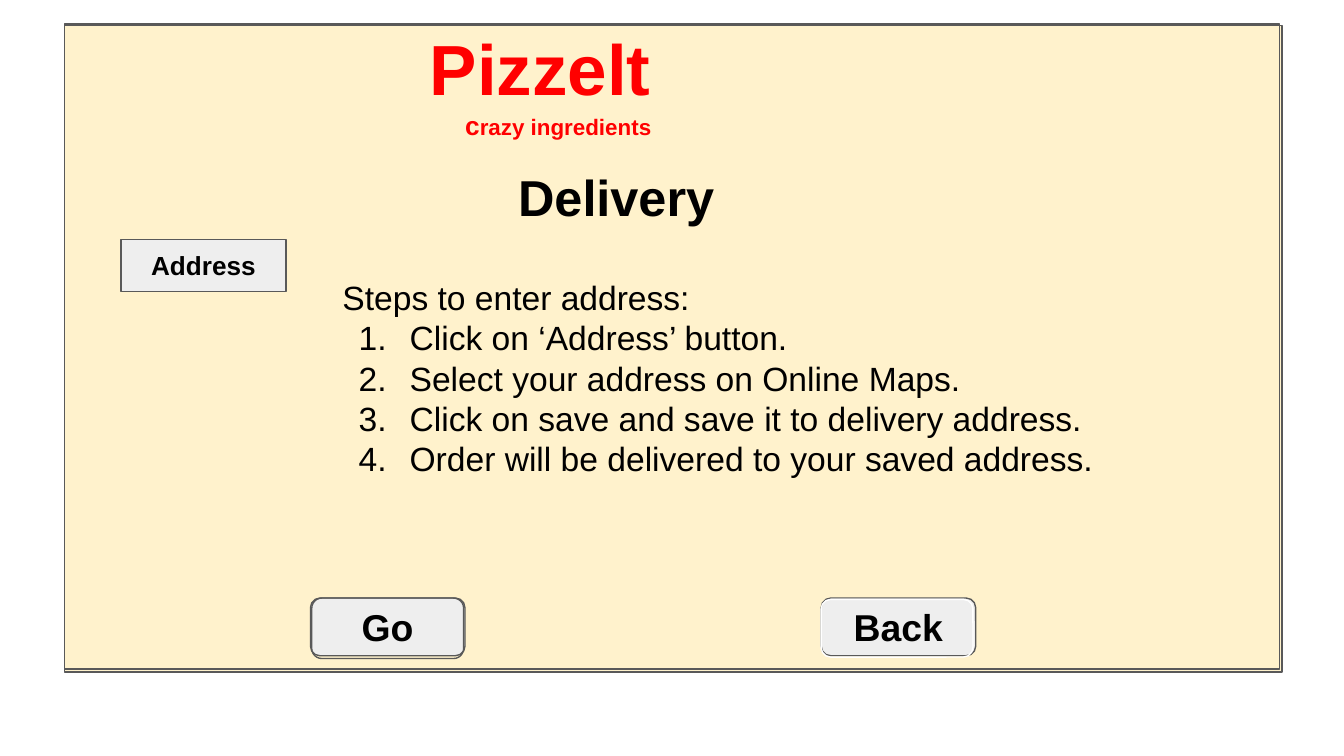
from dataclasses import dataclass

from lxml.etree import SubElement
from pptx import Presentation
from pptx.dml.color import RGBColor
from pptx.enum.shapes import MSO_SHAPE
from pptx.enum.text import MSO_ANCHOR, PP_ALIGN
from pptx.oxml.ns import qn
from pptx.util import Inches, Pt


@dataclass(frozen=True)
class Theme:
    font: str = "Arial"
    cream: str = "FFF2CC"
    button: str = "EEEEEE"
    edge: str = "595959"
    white: str = "FFFFFF"
    red: str = "FF0000"
    black: str = "000000"
    brand: int = 38
    heading: int = 27
    nav: int = 20
    body: int = 18
    label: int = 14
    tagline: int = 12


class SlideBuilder:
    def __init__(self, slide, theme):
        self.s, self.t = slide, theme

    def box(self, at, fill=None, line=None, rounded=False):
        kind = MSO_SHAPE.ROUNDED_RECTANGLE if rounded else MSO_SHAPE.RECTANGLE
        sp = self.s.shapes.add_shape(kind, *map(Inches, at))
        sp.shadow.inherit = False
        if fill:
            sp.fill.solid()
            sp.fill.fore_color.rgb = RGBColor.from_string(fill)
        else:
            sp.fill.background()
        sp.line.color.rgb = RGBColor.from_string(line or self.t.edge)
        sp.line.width = Pt(0.75)
        return sp

    def frame(self, sp, anchor=MSO_ANCHOR.MIDDLE):
        tf = sp.text_frame
        tf.word_wrap = True
        tf.vertical_anchor = anchor
        tf.margin_left = tf.margin_right = Inches(0.1)
        tf.margin_top = tf.margin_bottom = Inches(0.1)
        return tf

    def text(self, at, anchor=MSO_ANCHOR.TOP):
        return self.frame(self.s.shapes.add_textbox(*map(Inches, at)), anchor)

    def run(self, p, text, size, color=None, bold=True):
        r = p.add_run()
        r.text = text
        r.font.name, r.font.size, r.font.bold = self.t.font, Pt(size), bold
        r.font.color.rgb = RGBColor.from_string(color or self.t.black)

    def centred(self, p, text, size, color=None):
        p.alignment = PP_ALIGN.CENTER
        self.run(p, text, size, color)

    def button(self, at, text, size, rounded=False):
        sp = self.box(at, self.t.button, rounded=rounded)
        self.centred(self.frame(sp).paragraphs[0], text, size)

    def numbered(self, p, text):
        pPr = p._p.get_or_add_pPr()
        pPr.set("marL", str(Inches(0.5)))
        pPr.set("indent", str(Inches(-0.38)))
        color = SubElement(pPr, qn("a:buClr"))
        SubElement(color, qn("a:srgbClr"), val=self.t.black)
        SubElement(pPr, qn("a:buFont"), typeface=self.t.font)
        SubElement(pPr, qn("a:buAutoNum"), type="arabicPeriod")
        self.run(p, text, self.t.body, bold=False)


def main():
    # Widescreen 16:9 page
    prs = Presentation()
    prs.slide_width = Inches(10)
    prs.slide_height = prs.slide_width * 9 // 16
    t = Theme()
    b = SlideBuilder(prs.slides.add_slide(prs.slide_layouts[6]), t)

    # Panel and brand
    b.box((0.48, 0.19, 9.06, 4.81), t.cream)
    tf = b.text((2.24, 0.08, 3.56, 1.04))
    b.centred(tf.paragraphs[0], "Pizzelt", t.brand, t.red)
    p = tf.add_paragraph()
    p._p.get_or_add_pPr().set("marL", str(Inches(0.27)))
    b.centred(p, "c", t.label, t.red)
    b.run(p, "razy ingredients", t.tagline, t.red)

    # Navigation buttons
    for left, label in ((2.31, "Go"), (6.11, "Back")):
        b.button((left, 4.45, 1.15, 0.43), label, t.nav, rounded=True)

    # Panel outline, heading and address button
    b.box((0.48, 0.18, 9.04, 4.8))
    tf = b.text((3.67, 1.15, 1.83, 0.63), MSO_ANCHOR.MIDDLE)
    b.centred(tf.paragraphs[0], "Delivery", t.heading)
    b.button((0.9, 1.78, 1.23, 0.39), "Address", t.label)

    # Outlines over the navigation buttons
    b.box((2.32, 4.45, 1.13, 0.45), rounded=True)
    b.box((6.11, 4.46, 1.13, 0.43), line=t.white, rounded=True)

    # Steps
    tf = b.text((2.45, 1.96, 6.47, 1.98))
    b.run(tf.paragraphs[0], "Steps to enter address:", t.body, bold=False)
    for step in (
        "Click on ‘Address’ button.",
        "Select your address on Online Maps.",
        "Click on save and save it to delivery address.",
        "Order will be delivered to your saved address.",
    ):
        b.numbered(tf.add_paragraph(), step)

    prs.save("out.pptx")


if __name__ == "__main__":
    main()
